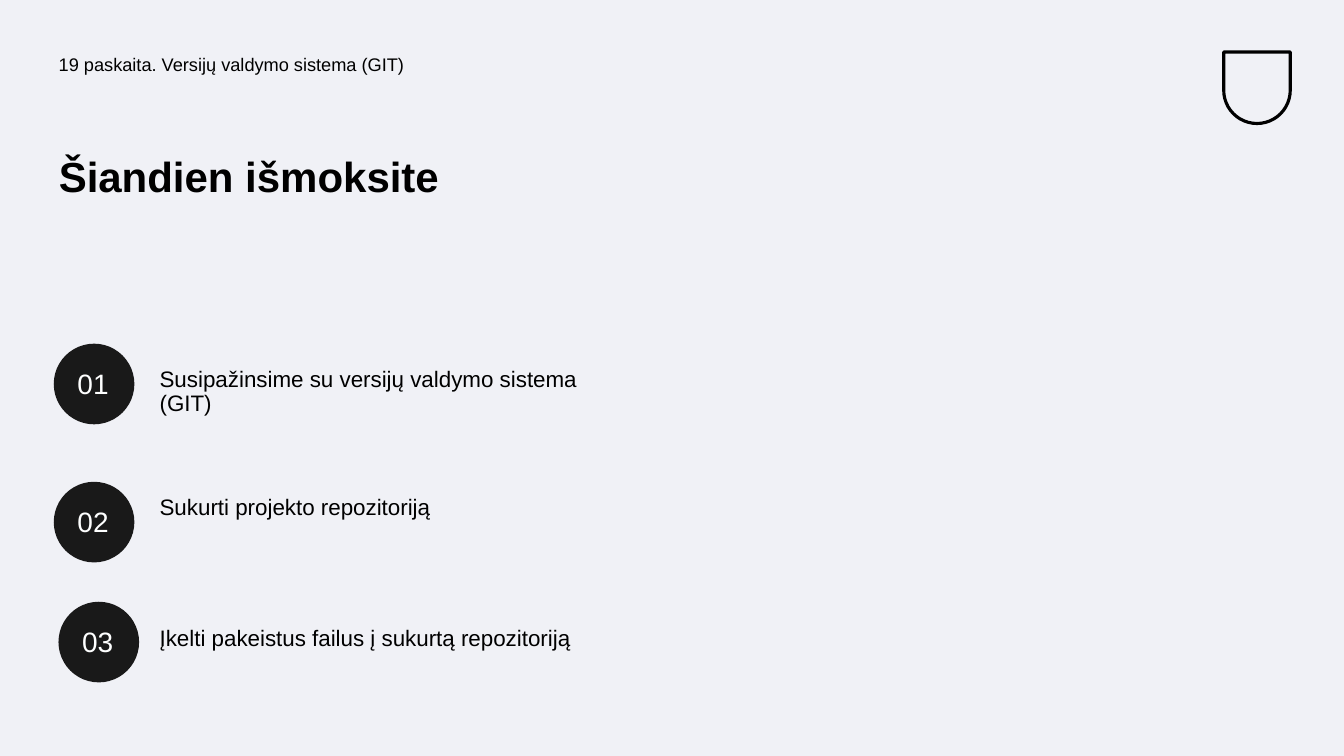
import pptx
import pptx.util
import pptx.dml.color
import pptx.enum.shapes
import pptx.enum.text

RGB = pptx.dml.color.RGBColor
PALE = RGB(0xF0, 0xF1, 0xF6)
BLACK = RGB(0, 0, 0)
DARK = RGB(0x19, 0x19, 0x19)
WHITE = RGB(0xFE, 0xFF, 0xFF)
SHAPE = pptx.enum.shapes.MSO_SHAPE
ANCHOR = pptx.enum.text.MSO_ANCHOR
ALIGN = pptx.enum.text.PP_ALIGN
COLS, ROWS = 40, 30


class Page:
    """Style and current slide; places are in columns and rows."""

    font = "Arial"
    inset = pptx.util.Inches(0.05)

    def __init__(self, deck):
        self.slide = deck.slides.add_slide(deck.slide_layouts[6])
        self.col = deck.slide_width / COLS
        self.row = deck.slide_height / ROWS
        back = self.slide.background.fill
        back.solid()
        back.fore_color.rgb = PALE

    def area(self, x, y, w, h):
        return [round(n) for n in (x * self.col, y * self.row,
                                   w * self.col, h * self.row)]

    def text(self, words, x, y, w, h, size, color=BLACK, bold=False,
             space=0, line=0.9, centre=False, home=None):
        home = home or self.slide.shapes
        frame = home.add_textbox(*self.area(x, y, w, h)).text_frame
        frame.word_wrap = True
        frame.margin_left = frame.margin_right = self.inset
        frame.margin_top = frame.margin_bottom = self.inset
        frame.vertical_anchor = ANCHOR.MIDDLE if centre else ANCHOR.TOP
        frame.text = words
        para = frame.paragraphs[0]
        para.alignment = ALIGN.CENTER if centre else ALIGN.LEFT
        para.line_spacing = line
        para.space_before = pptx.util.Pt(space)
        font = para.runs[0].font
        font.name, font.size, font.bold = self.font, pptx.util.Pt(size), bold
        font.color.rgb = color

    def badge(self, label, x, y):
        group = self.slide.shapes.add_group_shape().shapes
        disc = group.add_shape(SHAPE.OVAL, *self.area(x, y, 2.4, 3.2))
        disc.shadow.inherit = False
        disc.fill.solid()
        disc.fill.fore_color.rgb = DARK
        disc.line.fill.background()
        self.text(label, x + 0.48, y + 0.72, 1.38, 1.72, 20, WHITE,
                  line=1.0, centre=True, home=group)

    def shield(self, x, y, w, h):
        mark = self.slide.shapes.add_shape(SHAPE.ROUND_2_SAME_RECTANGLE,
                                           *self.area(x, y, w, h))
        mark.adjustments[0] = 0.5
        mark.rotation = 180
        mark.shadow.inherit = False
        mark.fill.background()
        mark.line.color.rgb = BLACK
        mark.line.width = pptx.util.Pt(2.25)


deck = pptx.Presentation()
deck.slide_width = pptx.util.Inches(13.33)
deck.slide_height = pptx.util.Inches(7.5)
page = Page(deck)

# Header: emblem, lecture and title
page.shield(36.42, 2.06, 1.98, 2.84)
page.text("19 paskaita. Versijų valdymo sistema (GIT)",
          1.6, 2, 18.42, 1.96, 13, space=10)
page.text("Šiandien išmoksite", 1.6, 6, 16.89, 5.96, 30, bold=True)

# Goals: badge column, badge row, text row, words
goals = [
    (1.6, 13.64, 14.4, "Susipažinsime su versijų valdymo sistema (GIT)"),
    (1.6, 19.12, 19.48, "Sukurti projekto repozitoriją"),
    (1.74, 23.88, 24.68, "Įkelti pakeistus failus į sukurtą repozitoriją"),
]
for num, (left, top, base, words) in enumerate(goals, 1):
    page.badge(f"{num:02d}", left, top)
    page.text(words, 4.6, base, 13.89, 2, 16, space=10)

deck.save("out.pptx")
